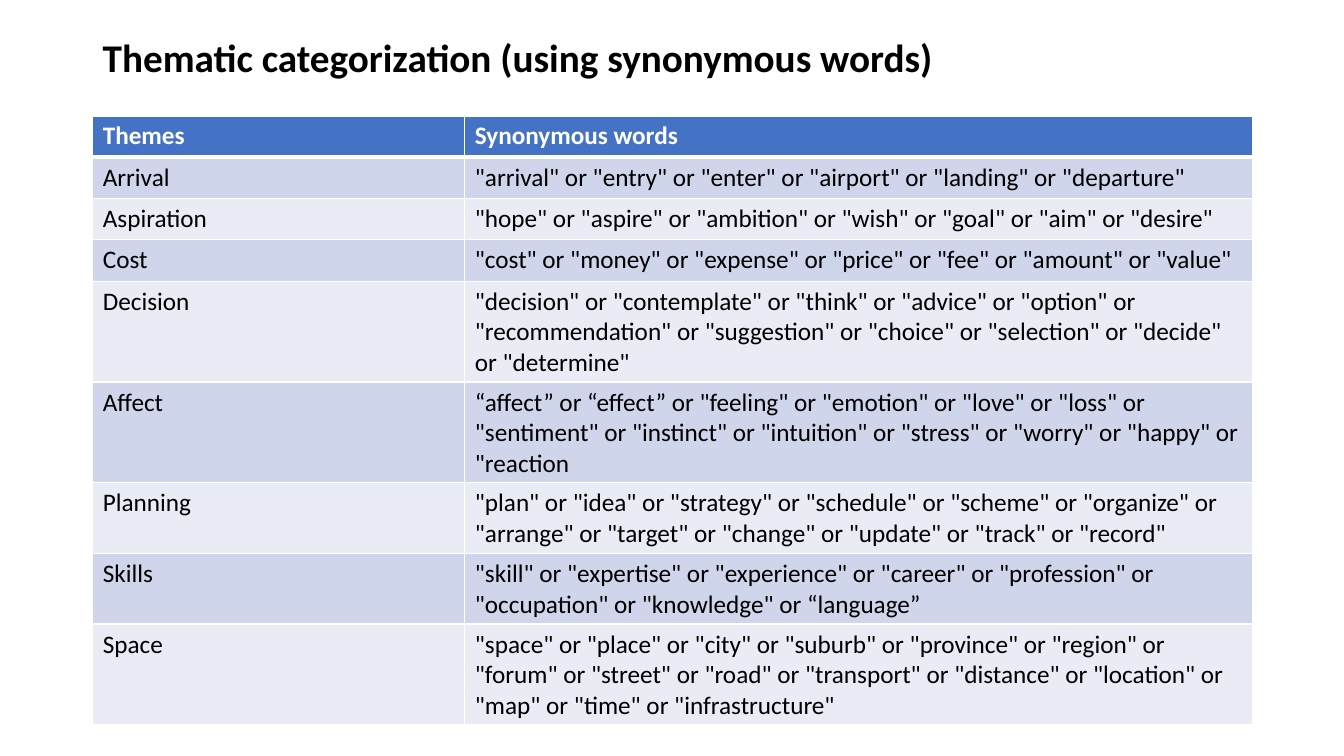
from dataclasses import dataclass
from typing import NamedTuple

from lxml import etree
from pptx import Presentation
from pptx.dml.color import RGBColor
from pptx.enum.text import MSO_ANCHOR
from pptx.oxml.ns import qn
from pptx.util import Inches, Pt

MIDDLE = MSO_ANCHOR.MIDDLE


@dataclass(frozen=True)
class Theme:
    """Colours, font and type sizes of the slide."""
    font: str = "Calibri"
    title_size: int = 28
    body_size: int = 18
    text: str = "000000"
    light: str = "FFFFFF"
    header: str = "4472C4"
    bands: tuple[str, str] = ("CFD5EA", "E9EBF5")
    rule: int = 1
    header_rule: int = 3


class Category(NamedTuple):
    """A theme and the words searched for it."""
    name: str
    words: str


THEME = Theme()
LEFT, WIDTH = Inches(0.92), Inches(11.5)
COLUMNS = (Inches(3.69), Inches(7.81))
TABLE_TOP, ROW_HEIGHT = Inches(1.15), Inches(0.41)
HEADINGS = Category("Themes", "Synonymous words")
CATEGORIES = [
    Category("Arrival", '"arrival" or "entry" or "enter" or "airport" or "landing" or "departure"'),
    Category("Aspiration", '"hope" or "aspire" or "ambition" or "wish" or "goal" or "aim" or "desire"'),
    Category("Cost", '"cost" or "money" or "expense" or "price" or "fee" or "amount" or "value"'),
    Category("Decision", '"decision" or "contemplate" or "think" or "advice" or "option" or '
             '"recommendation" or "suggestion" or "choice" or "selection" or "decide" or "determine"'),
    Category("Affect", '“affect” or “effect” or "feeling" or "emotion" or "love" or "loss" or '
             '"sentiment" or "instinct" or "intuition" or "stress" or "worry" or "happy" or "reaction'),
    Category("Planning", '"plan" or "idea" or "strategy" or "schedule" or "scheme" or "organize" or '
             '"arrange" or "target" or "change" or "update" or "track" or "record"'),
    Category("Skills", '"skill" or "expertise" or "experience" or "career" or "profession" or '
             '"occupation" or "knowledge" or “language”'),
    Category("Space", '"space" or "place" or "city" or "suburb" or "province" or "region" or '
             '"forum" or "street" or "road" or "transport" or "distance" or "location" or '
             '"map" or "time" or "infrastructure"'),
]


def write(tf, text: str, *, size: int = THEME.body_size, color: str = THEME.text,
          bold: bool = False, spacing: float = 1.0) -> None:
    """Put formatted text into the first paragraph of a text frame."""
    p = tf.paragraphs[0]
    p.line_spacing = spacing
    r = p.add_run()
    r.text = text
    r.font.name = THEME.font
    r.font.size = Pt(size)
    r.font.bold = bold
    r.font.color.rgb = RGBColor.from_string(color)


def set_borders(cell, top: int, bottom: int) -> None:
    """Draw light rules on the four sides of a cell."""
    tc_pr = cell._tc.get_or_add_tcPr()
    sides = {"a:lnL": THEME.rule, "a:lnR": THEME.rule, "a:lnT": top, "a:lnB": bottom}
    for tag, width in sides.items():
        ln = etree.SubElement(tc_pr, qn(tag), w=str(Pt(width)))
        fill = etree.SubElement(ln, qn("a:solidFill"))
        etree.SubElement(fill, qn("a:srgbClr"), val=THEME.light)


def add_title(s, text: str) -> None:
    """Add the slide title."""
    sp = s.shapes.add_textbox(LEFT, Inches(-0.13), WIDTH, Inches(1.45))
    tf = sp.text_frame
    tf.word_wrap = True
    tf.vertical_anchor = MIDDLE
    write(tf, text, size=THEME.title_size, bold=True, spacing=0.9)


def add_categories(s, rows: list[Category]) -> None:
    """Add the table with a header row and alternating bands."""
    frame = s.shapes.add_table(len(rows), len(COLUMNS), LEFT, TABLE_TOP,
                               WIDTH, ROW_HEIGHT * len(rows))
    table = frame.table
    for column, width in zip(table.columns, COLUMNS):
        column.width = width
    for i, row in enumerate(rows):
        is_header = i == 0
        table.rows[i].height = ROW_HEIGHT
        fill = THEME.header if is_header else THEME.bands[(i - 1) % 2]
        for j, text in enumerate(row):
            cell = table.cell(i, j)
            set_borders(cell, top=THEME.header_rule if i == 1 else THEME.rule,
                        bottom=THEME.header_rule if is_header else THEME.rule)
            cell.fill.solid()
            cell.fill.fore_color.rgb = RGBColor.from_string(fill)
            write(cell.text_frame, text, bold=is_header,
                  color=THEME.light if is_header else THEME.text)


def main() -> None:
    """Build and save the slide."""
    prs = Presentation()
    prs.slide_width, prs.slide_height = Inches(13.33), Inches(7.5)
    s = prs.slides.add_slide(prs.slide_layouts[6])
    add_title(s, "Thematic categorization (using synonymous words)")
    add_categories(s, [HEADINGS, *CATEGORIES])
    prs.save("out.pptx")


main()
